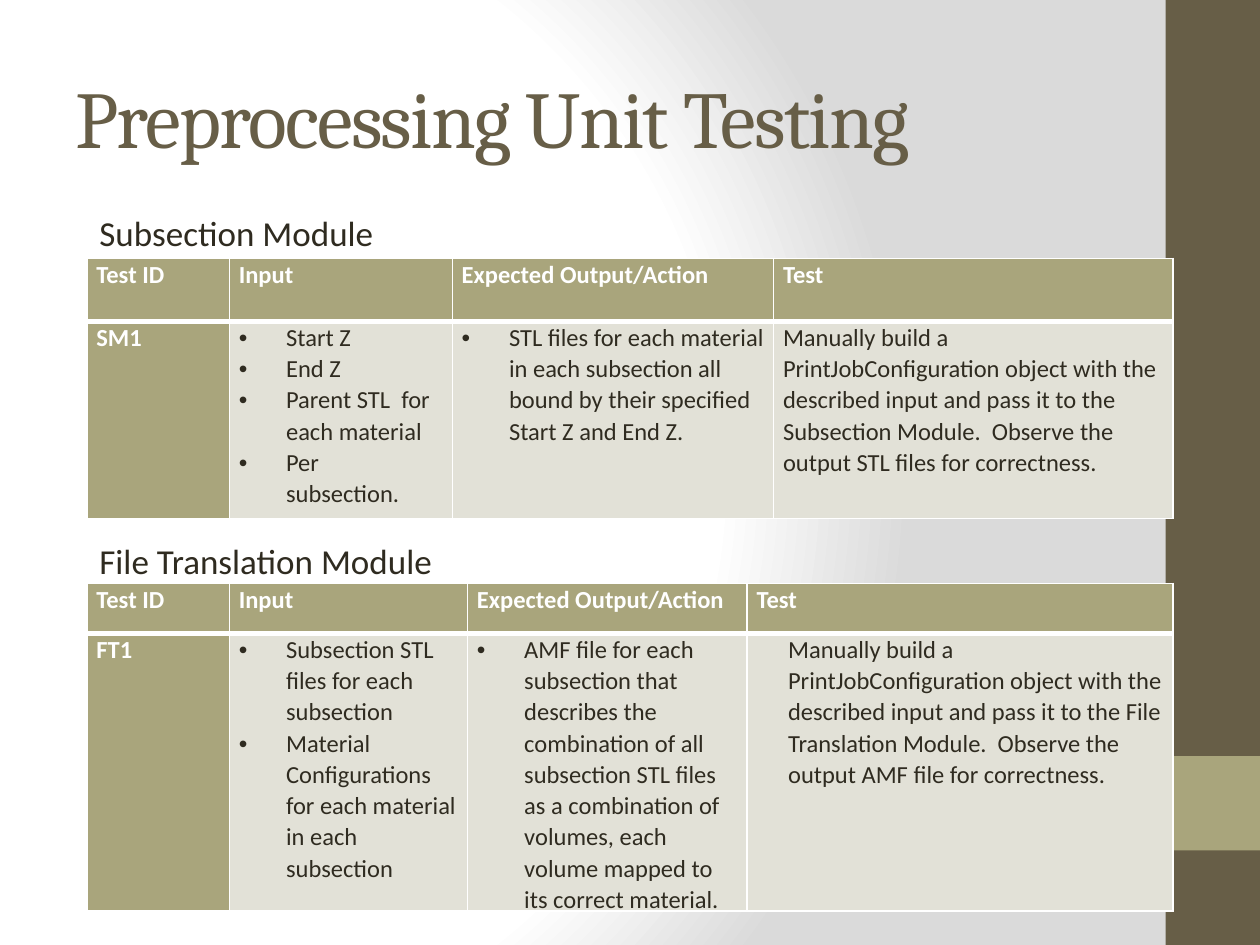
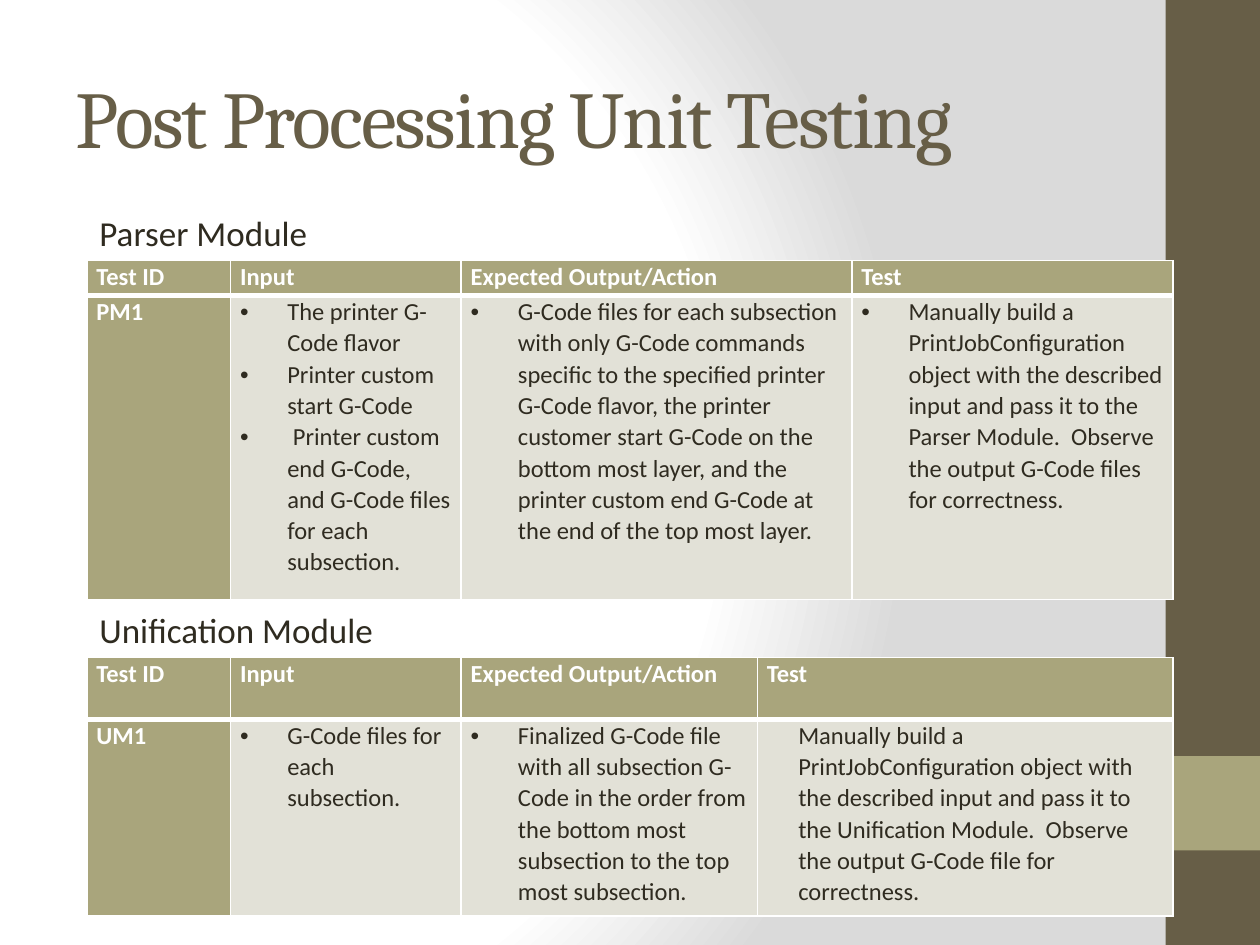
"""Build two slides of unit test tables for the printing modules."""
from dataclasses import dataclass

from pptx import Presentation
from pptx.dml.color import RGBColor
from pptx.enum.shapes import MSO_SHAPE
from pptx.enum.text import MSO_ANCHOR, MSO_AUTO_SIZE, PP_ALIGN
from pptx.oxml import parse_xml
from pptx.oxml.ns import nsdecls, qn
from pptx.util import Pt

RECTANGLE = MSO_SHAPE.RECTANGLE
MIDDLE = MSO_ANCHOR.MIDDLE
GROW = MSO_AUTO_SIZE.SHAPE_TO_FIT_TEXT
LEFT, JUSTIFY = PP_ALIGN.LEFT, PP_ALIGN.JUSTIFY
TITLE_ONLY = 5
BULLET = (27, -27)
INDENTED = (18, 0)
FLUSH = (0, 0)
HEADERS = ["Test ID", "Input", "Expected Output/Action", "Test"]
TABLE_LEFT, TABLE_WIDTH, HEADING_HEIGHT = 49.7, 620.6, 31.5


@dataclass(frozen=True)
class Theme:
    """Colours, fonts and type sizes."""
    brown: str = "675E47"
    olive: str = "A9A57C"
    pale: str = "E2E1D7"
    ink: str = "2F2B20"
    white: str = "FFFFFF"
    shade: str = "DADADA"
    title_font: str = "Cambria"
    body_font: str = "Calibri"
    title_size: int = 46
    heading_size: int = 20
    table_size: int = 14
    line_spacing: float = 1.05
    thin: int = 1
    thick: int = 3


@dataclass(frozen=True)
class ModuleTest:
    """One module heading and its test table."""
    heading: str
    heading_top: float
    table_top: float
    columns: tuple
    rows: tuple
    test_id: str
    inputs: list
    output: str
    test: str
    test_indent: tuple


class Deck:
    """Holds the style and the current slide."""

    def __init__(self, theme):
        self.theme = theme
        self.presentation = Presentation()
        self.presentation.slide_width = Pt(720)
        self.presentation.slide_height = Pt(540)
        self.slide = None
        self.set_background()

    def set_background(self):
        """Give the master a circular gradient."""
        master = self.presentation.slide_master
        master.background.fill.gradient()
        gradient = master.element.cSld.find(".//" + qn("a:gradFill"))
        stops = ((0, self.theme.white), (75, self.theme.white), (100, self.theme.shade))
        stop_xml = "".join(
            f'<a:gs pos="{position * 1000}"><a:srgbClr val="{color}"/></a:gs>'
            for position, color in stops)
        gradient.getparent().replace(gradient, parse_xml(
            f'<a:gradFill {nsdecls("a")} rotWithShape="1"><a:gsLst>{stop_xml}</a:gsLst>'
            '<a:path path="circle"><a:fillToRect l="20000" t="50000" r="100000" b="50000"/>'
            '</a:path></a:gradFill>'))

    def format_font(self, font, name, size, color, bold=False):
        """Set the face, size, colour and weight of a font."""
        font.name = name
        font.size = Pt(size)
        font.bold = bold
        font.color.rgb = RGBColor.from_string(color)

    def add_slide(self, title):
        """Start a slide with its side band and title."""
        layout = self.presentation.slide_layouts[TITLE_ONLY]
        self.slide = self.presentation.slides.add_slide(layout)
        self.add_band(0, 540, self.theme.brown)
        self.add_band(432, 54, self.theme.olive)
        self.add_title(title)

    def add_band(self, top, height, color):
        """Draw a plain block on the right edge."""
        shape = self.slide.shapes.add_shape(RECTANGLE, Pt(666), Pt(top), Pt(54), Pt(height))
        shape.shadow.inherit = False
        shape.fill.solid()
        shape.fill.fore_color.rgb = RGBColor.from_string(color)
        shape.line.fill.background()

    def add_title(self, text):
        """Place and format the title placeholder."""
        title = self.slide.shapes.title
        title.left, title.top, title.width, title.height = Pt(36), Pt(21.6), Pt(600), Pt(90)
        frame = title.text_frame
        frame.text = text
        frame.vertical_anchor = MIDDLE
        paragraph = frame.paragraphs[0]
        paragraph.alignment = LEFT
        run = paragraph.runs[0]
        self.format_font(run.font, self.theme.title_font, self.theme.title_size, self.theme.brown)
        run.font._element.set("spc", "-100")

    def add_heading(self, text, top):
        """Write a module heading above its table."""
        box = self.slide.shapes.add_textbox(
            Pt(TABLE_LEFT), Pt(top), Pt(TABLE_WIDTH), Pt(HEADING_HEIGHT))
        frame = box.text_frame
        frame.word_wrap = True
        frame.auto_size = GROW
        frame.text = text
        self.format_font(frame.paragraphs[0].runs[0].font, self.theme.body_font,
                         self.theme.heading_size, self.theme.ink)

    def add_module(self, module):
        """Add a module heading and a table of its test."""
        self.add_heading(module.heading, module.heading_top)
        table = self.slide.shapes.add_table(
            2, len(HEADERS), Pt(TABLE_LEFT), Pt(module.table_top),
            Pt(TABLE_WIDTH), Pt(sum(module.rows))).table
        table.horz_banding = False
        for column, width in zip(table.columns, module.columns):
            column.width = Pt(width)
        for row, height in zip(table.rows, module.rows):
            row.height = Pt(height)
        for index, header in enumerate(HEADERS):
            self.fill_label(table.cell(0, index), header, True)
        self.fill_label(table.cell(1, 0), module.test_id, False)
        contents = ((module.inputs, BULLET), ([module.output], BULLET),
                    ([module.test], module.test_indent))
        for index, (texts, indent) in enumerate(contents, start=1):
            self.fill_body(table.cell(1, index), texts, indent)

    def fill_label(self, cell, text, is_header):
        """Fill an olive cell with bold white text."""
        self.format_cell(cell, self.theme.olive, is_header)
        cell.text_frame.text = text
        paragraph = cell.text_frame.paragraphs[0]
        paragraph.alignment = JUSTIFY
        self.format_paragraph(paragraph, self.theme.white, True)

    def fill_body(self, cell, texts, indent):
        """Fill a pale cell with plain or bulleted paragraphs."""
        self.format_cell(cell, self.theme.pale, False)
        cell.text_frame.text = "\n".join(texts)
        for paragraph in cell.text_frame.paragraphs:
            properties = paragraph._p.get_or_add_pPr()
            margin, first_line = indent
            properties.set("marL", str(Pt(margin)))
            properties.set("indent", str(Pt(first_line)))
            if indent == BULLET:
                properties.append(parse_xml(f'<a:buFont {nsdecls("a")} typeface="Arial"/>'))
                properties.append(parse_xml(f'<a:buChar {nsdecls("a")} char="•"/>'))
            self.format_paragraph(paragraph, self.theme.ink, False)

    def format_paragraph(self, paragraph, color, bold):
        """Apply the table type style."""
        paragraph.line_spacing = self.theme.line_spacing
        for run in paragraph.runs:
            self.format_font(run.font, self.theme.body_font, self.theme.table_size, color, bold)

    def format_cell(self, cell, color, is_header):
        """Set the margins, fill and white borders of a cell."""
        cell.margin_left = cell.margin_right = Pt(5.4)
        cell.margin_top = cell.margin_bottom = 0
        cell.fill.solid()
        cell.fill.fore_color.rgb = RGBColor.from_string(color)
        thin, thick = self.theme.thin, self.theme.thick
        top, bottom = (thin, thick) if is_header else (thick, thin)
        properties = cell._tc.get_or_add_tcPr()
        for index, (side, width) in enumerate(zip("LRTB", (thin, thin, top, bottom))):
            properties.insert(index, parse_xml(
                f'<a:ln{side} {nsdecls("a")} w="{Pt(width)}"><a:solidFill>'
                f'<a:srgbClr val="{self.theme.white}"/></a:solidFill></a:ln{side}>'))


def manual_test(module, output):
    """Return the wording shared by every test description."""
    return ("Manually build a PrintJobConfiguration object with the described input and pass it "
            f"to the {module} Module.  Observe the output {output} for correctness.")


SLIDES = {
    "Preprocessing Unit Testing": [
        ModuleTest(
            "Subsection Module", 117.4, 147.6, (81.4, 127.4, 183.6, 228.2), (36, 112.7), "SM1",
            ["Start Z", "End Z", "Parent STL  for each material", "Per  subsection."],
            "STL files for each material in each subsection all bound by their specified "
            "Start Z and End Z.",
            manual_test("Subsection", "STL files"), FLUSH),
        ModuleTest(
            "File Translation Module", 304.6, 333.4, (81.4, 136.1, 159.8, 243.3), (28.5, 141),
            "FT1",
            ["Subsection STL files for each subsection",
             "Material Configurations for each material in each subsection"],
            "AMF file for each subsection that describes the combination of all subsection STL "
            "files as a combination of volumes, each volume mapped to its correct material.",
            manual_test("File Translation", "AMF file"), INDENTED),
    ],
    "Post Processing Unit Testing": [
        ModuleTest(
            "Parser Module", 117.4, 149, (82.1, 131.8, 223.2, 183.5), (20, 173.5), "PM1",
            ["The printer G-Code flavor", "Printer custom start G-Code",
             " Printer custom end G-Code, and G-Code files for each subsection."],
            "G-Code files for each subsection with only G-Code commands specific to the specified "
            "printer G-Code flavor, the printer customer start G-Code on the bottom most layer, "
            "and the printer custom end G-Code at the end of the top most layer.",
            manual_test("Parser", "G-Code files"), BULLET),
        ModuleTest(
            "Unification Module", 344.2, 375.8, (82.1, 131.8, 169.2, 237.5), (35.3, 112.3), "UM1",
            ["G-Code files for each subsection."],
            "Finalized G-Code file with all subsection G-Code in the order from the bottom most "
            "subsection to the top most subsection.",
            manual_test("Unification", "G-Code file"), INDENTED),
    ],
}


def main():
    """Build and save the presentation."""
    deck = Deck(Theme())
    for title, modules in SLIDES.items():
        deck.add_slide(title)
        for module in modules:
            deck.add_module(module)
    deck.presentation.save("out.pptx")


if __name__ == "__main__":
    main()
